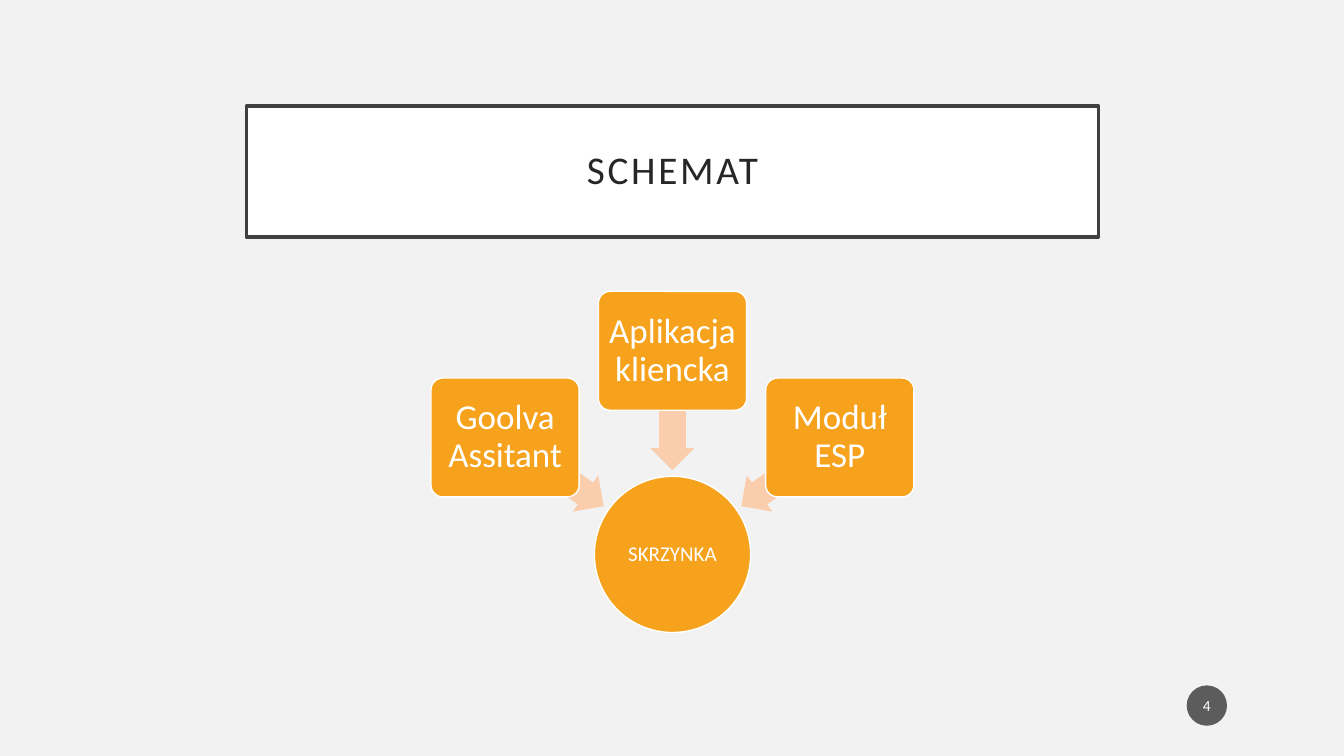
"""Build the SCHEMAT slide: three sources pointing at one box."""
from dataclasses import dataclass
from typing import Optional

from lxml import etree
from pptx import Presentation
from pptx import util as u
from pptx.dml.color import RGBColor
from pptx.enum import shapes, text
from pptx.oxml.ns import qn


@dataclass(frozen=True)
class Theme:
    font: str = "Calibri"
    page: str = "F2F2F2"
    white: str = "FFFFFF"
    frame: str = "404040"
    title: str = "262626"
    node: str = "F6A21D"
    arrow: str = "FACEAC"
    badge: str = "1D1D1D"
    title_size: float = 28
    source_size: float = 25
    target_size: float = 15
    number_size: float = 11


@dataclass(frozen=True)
class Box:
    center_x: float
    center_y: float
    width: float
    height: float


@dataclass(frozen=True)
class Source:
    label: str
    column: int
    center_y: float
    arrow_offset: float
    arrow_y: float
    arrow_angle: float


THEME = Theme()
KIND = shapes.MSO_SHAPE
MIDDLE = 6.67
COLUMN_STEP = 1.66
SOURCES = (
    Source("Goolva Assitant", -1, 4.34, -1.17, 4.68, 215),
    Source("Aplikacja kliencka", 0, 3.48, 0, 4.07, 270),
    Source("Moduł ESP", 1, 4.34, 1.17, 4.68, 325),
)


def add_figure(page, kind: KIND, box: Box, fill: str,
               line: Optional[str] = None, line_width: float = 1):
    """Draw a filled preset shape around its centre."""
    figure = page.shapes.add_shape(
        kind,
        u.Inches(box.center_x - box.width / 2),
        u.Inches(box.center_y - box.height / 2),
        u.Inches(box.width), u.Inches(box.height))
    figure.shadow.inherit = False
    figure.fill.solid()
    figure.fill.fore_color.rgb = RGBColor.from_string(fill)
    if line:
        figure.line.color.rgb = RGBColor.from_string(line)
        figure.line.width = u.Pt(line_width)
    else:
        figure.line.fill.background()
    return figure


def write_label(figure, label: str, size: float, color: str = THEME.white,
                inset: float = 0.02, line_spacing: float = 0.9):
    """Write one centred line of text into a shape and return its run."""
    frame = figure.text_frame
    frame.word_wrap = True
    frame.vertical_anchor = text.MSO_ANCHOR.MIDDLE
    frame.margin_left = frame.margin_right = u.Inches(inset)
    frame.margin_top = frame.margin_bottom = u.Inches(inset)
    para = frame.paragraphs[0]
    para.alignment = text.PP_ALIGN.CENTER
    para.line_spacing = line_spacing
    span = para.add_run()
    span.text = label
    span.font.name = THEME.font
    span.font.size = u.Pt(size)
    span.font.color.rgb = RGBColor.from_string(color)
    return span


def add_title(page) -> None:
    """Draw the framed title."""
    banner = add_figure(page, KIND.RECTANGLE, Box(MIDDLE, 1.7, 8.45, 1.3),
                        THEME.white, THEME.frame, 2.5)
    span = write_label(banner, "SCHEMAT", THEME.title_size, THEME.title, 0.2)
    span.font._element.set("spc", "200")


def add_target(page) -> None:
    """Draw the circle the arrows lead to."""
    circle = add_figure(page, KIND.OVAL, Box(MIDDLE, 5.5, 1.55, 1.55),
                        THEME.node, THEME.white)
    write_label(circle, "SKRZYNKA", THEME.target_size)


def add_source(page, source: Source) -> None:
    """Draw a source node and its arrow towards the circle."""
    arrow = add_figure(
        page, KIND.LEFT_ARROW,
        Box(MIDDLE + source.arrow_offset, source.arrow_y, 1.19, 0.44),
        THEME.arrow)
    arrow.adjustments[0] = 0.6
    arrow.adjustments[1] = 0.5
    arrow.rotation = source.arrow_angle
    node = add_figure(
        page, KIND.ROUNDED_RECTANGLE,
        Box(MIDDLE + source.column * COLUMN_STEP, source.center_y, 1.47, 1.18),
        THEME.node, THEME.white)
    node.adjustments[0] = 0.1
    write_label(node, source.label, THEME.source_size, inset=0.05)


def add_page_number(page) -> None:
    """Draw the translucent page number badge."""
    badge = add_figure(page, KIND.OVAL, Box(11.97, 7, 0.4, 0.4), THEME.badge)
    color = badge._element.spPr.find(qn("a:solidFill"))[0]
    etree.SubElement(color, qn("a:alpha")).set("val", "70000")
    write_label(badge, "4", THEME.number_size, line_spacing=1)


def main() -> None:
    """Build and save the deck."""
    deck = Presentation()
    deck.slide_width = u.Inches(13.33)
    deck.slide_height = u.Inches(7.5)
    page = deck.slides.add_slide(deck.slide_layouts[6])
    page.background.fill.solid()
    page.background.fill.fore_color.rgb = RGBColor.from_string(THEME.page)
    add_title(page)
    add_target(page)
    for source in SOURCES:
        add_source(page, source)
    add_page_number(page)
    deck.save("out.pptx")


if __name__ == "__main__":
    main()
